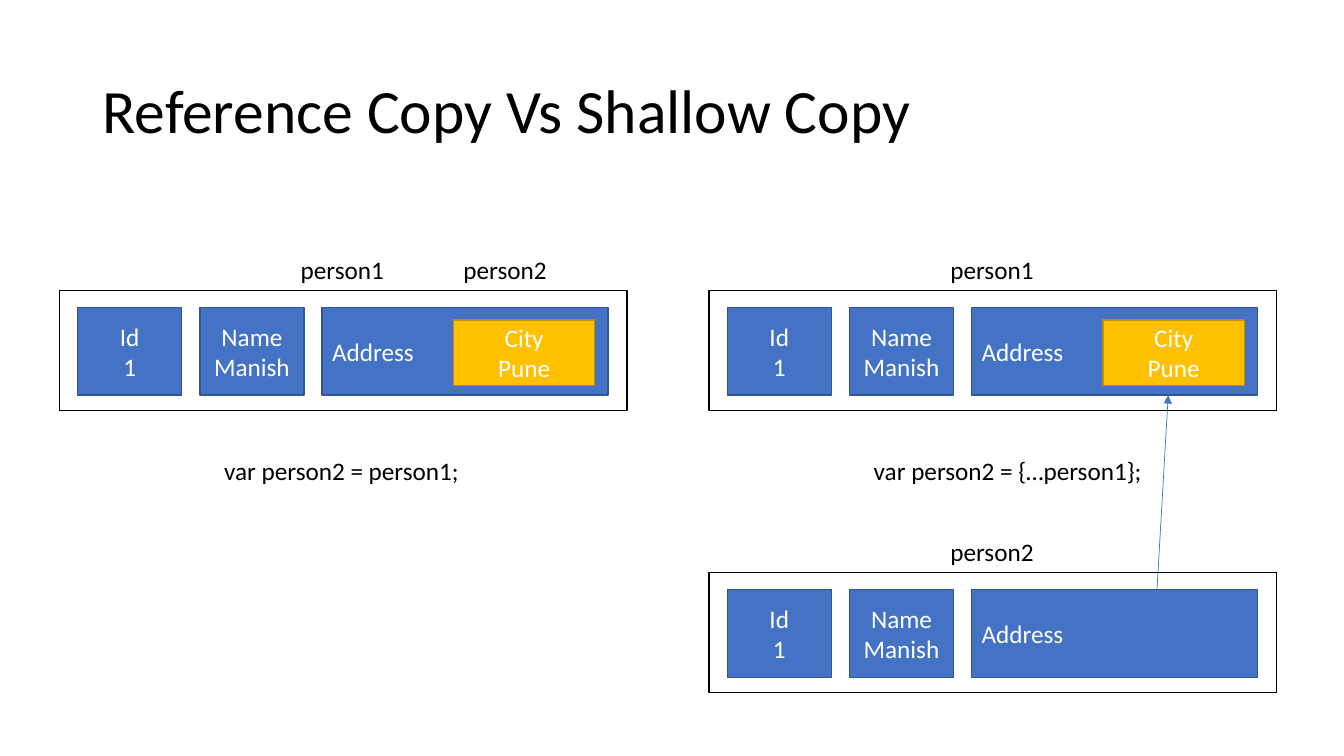
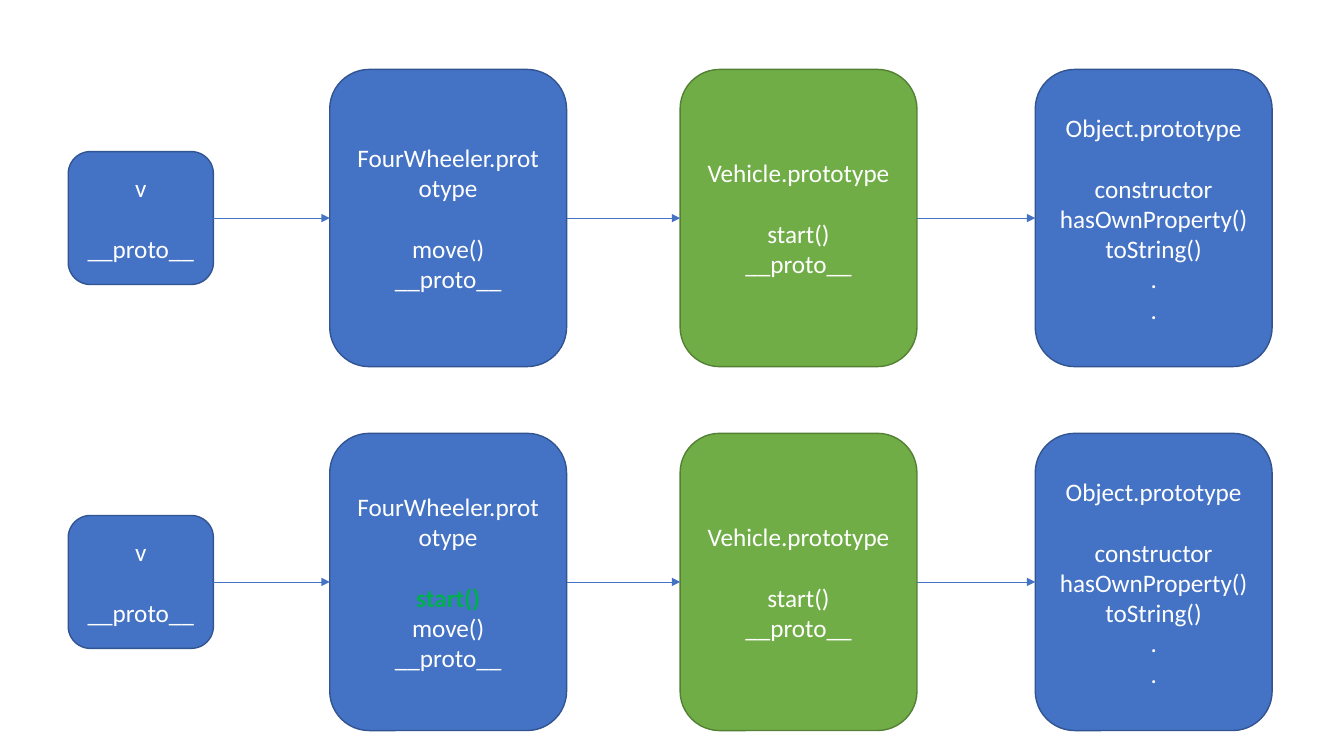
from dataclasses import dataclass

import pptx
import pptx.dml.color
import pptx.enum.shapes
import pptx.enum.text
import pptx.oxml
import pptx.oxml.ns
import pptx.util

Cm = pptx.util.Cm
Pt = pptx.util.Pt
MSO_SHAPE = pptx.enum.shapes.MSO_SHAPE
PP_ALIGN = pptx.enum.text.PP_ALIGN
TOP, LEFT, BOTTOM, RIGHT = range(4)


@dataclass(frozen=True)
class Theme:
    """Colours as hex, sizes in points; box colours are (fill, line) pairs."""
    font: str = "Calibri"
    title_size: int = 44
    body_size: int = 18
    line_gap: int = 22
    ink: str = "000000"
    light: str = "FFFFFF"
    highlight: str = "00B050"
    arrow: str = "4472C4"
    frame: tuple = ("FFFFFF", "000000")
    blue: tuple = ("4472C4", "325491")
    gold: tuple = ("FFC000", "BD8E00")
    green: tuple = ("70AD47", "538035")


THEME = Theme()

# Record: a frame holding the fields of one object (cm)
FRAME_W, FRAME_H = 14.3, 3.02
PAD_X, PAD_Y = 0.46, 0.43
FIELD_H = 2.21
FIELDS = [
    (2.62, ["Id", "1"], PP_ALIGN.CENTER),
    (2.62, ["Name", "Manish"], PP_ALIGN.CENTER),
    (7.2, ["Address"], PP_ALIGN.LEFT),
]
NAME_X, SECOND_NAME_X = 5.83, 9.93
CODE_X, CODE_Y = 3.9, 4.04

# Prototype chain (cm)
CARD_W, CARD_H = 5.97, 7.49
INSTANCE_W, INSTANCE_H = 3.66, 3.35
ROW_TOP, ROW_PITCH = 1.75, 9.17


def rgb(value):
    return pptx.dml.color.RGBColor.from_string(value)


def set_attrs(target, values):
    for name, value in values.items():
        setattr(target, name, value)


def write(tf, lines, color, size=THEME.body_size, para=None, bold_lines=()):
    """Write one paragraph per line; bold_lines are set in the highlight colour."""
    for i, line in enumerate(lines):
        p = tf.paragraphs[0] if i == 0 else tf.add_paragraph()
        set_attrs(p, para or {})
        r = p.add_run()
        r.text = line
        bold = line in bold_lines
        set_attrs(r.font, {"name": THEME.font, "size": Pt(size), "bold": bold})
        r.font.color.rgb = rgb(THEME.highlight if bold else color)


def add_title(s, text):
    title = s.shapes.title
    set_attrs(title, {"left": Cm(2.33), "top": Cm(1.01),
                      "width": Cm(29.21), "height": Cm(3.68)})
    title.text_frame.vertical_anchor = pptx.enum.text.MSO_ANCHOR.MIDDLE
    write(title.text_frame, [text], THEME.ink, THEME.title_size,
          {"alignment": PP_ALIGN.LEFT, "line_spacing": 0.9})


def add_box(s, x, y, w, h, colors, lines=(), align=PP_ALIGN.CENTER,
            shape=MSO_SHAPE.RECTANGLE, bold_lines=()):
    sp = s.shapes.add_shape(shape, Cm(x), Cm(y), Cm(w), Cm(h))
    fill, line = colors
    sp.shadow.inherit = False
    sp.fill.solid()
    sp.fill.fore_color.rgb = rgb(fill)
    sp.line.color.rgb = rgb(line)
    sp.line.width = Pt(1)
    write(sp.text_frame, lines, THEME.light, para={"alignment": align},
          bold_lines=bold_lines)
    return sp


def add_label(s, x, y, w, text):
    sp = s.shapes.add_textbox(Cm(x), Cm(y), Cm(w), Cm(1.02))
    set_attrs(sp.text_frame, {
        "word_wrap": False,
        "auto_size": pptx.enum.text.MSO_AUTO_SIZE.SHAPE_TO_FIT_TEXT})
    write(sp.text_frame, [text], THEME.ink)


def add_arrow(s, x1=0, y1=0, x2=0, y2=0):
    arrow = s.shapes.add_connector(pptx.enum.shapes.MSO_CONNECTOR.STRAIGHT,
                                   Cm(x1), Cm(y1), Cm(x2), Cm(y2))
    arrow.line.color.rgb = rgb(THEME.arrow)
    arrow.line.width = Pt(0.5)
    tail = pptx.oxml.parse_xml(
        f'<a:tailEnd {pptx.oxml.ns.nsdecls("a")} type="triangle"/>')
    arrow.line._get_or_add_ln().append(tail)
    arrow._element.spPr.append(pptx.oxml.parse_xml(
        f'<a:effectLst {pptx.oxml.ns.nsdecls("a")}/>'))
    return arrow


def join(s, source, target):
    arrow = add_arrow(s)
    arrow.begin_connect(source, RIGHT)
    arrow.end_connect(target, LEFT)


def add_record(s, x, y, names, with_city=True):
    """Draw one object in memory; names maps a variable to its offset."""
    add_box(s, x, y, FRAME_W, FRAME_H, THEME.frame)
    field_x = x + PAD_X
    for w, lines, align in FIELDS:
        add_box(s, field_x, y + PAD_Y, w, FIELD_H, THEME.blue, lines, align)
        field_x += w + PAD_X
    if with_city:
        add_box(s, x + 9.93, y + 0.74, 3.56, 1.65, THEME.gold, ["City", "Pune"])
    for name, offset in names.items():
        add_label(s, x + offset, y - 1.04, 2.64, name)


def add_card(s, x, middle, w, h, colors, heading, members, bold_lines=()):
    sp = add_box(s, x, middle - h / 2, w, h, colors, [heading, *members],
                 shape=MSO_SHAPE.ROUNDED_RECTANGLE, bold_lines=bold_lines)
    sp.text_frame.paragraphs[0].space_after = Pt(THEME.line_gap)
    return sp


def add_chain(s, top, wheeler_members, bold_lines=()):
    middle = top + CARD_H / 2
    cards = [add_card(s, 1.72, middle, INSTANCE_W, INSTANCE_H, THEME.blue,
                      "v", ["__proto__"])]
    prototypes = [
        (8.31, THEME.blue, "FourWheeler.prototype", wheeler_members),
        (17.14, THEME.green, "Vehicle.prototype", ["start()", "__proto__"]),
        (26.09, THEME.blue, "Object.prototype",
         ["constructor", "hasOwnProperty()", "toString()", ".", "."]),
    ]
    for x, colors, heading, members in prototypes:
        marked = bold_lines if members is wheeler_members else ()
        cards.append(add_card(s, x, middle, CARD_W, CARD_H, colors,
                              heading, members, marked))
    for source, target in zip(cards, cards[1:]):
        join(s, source, target)


def build_copy_slide(prs):
    s = prs.slides.add_slide(prs.slide_layouts[5])
    add_title(s, "Reference Copy Vs Shallow Copy")
    left, right, upper, lower = 1.5, 17.87, 7.32, 14.43
    add_record(s, left, upper, {"person1": NAME_X, "person2": SECOND_NAME_X})
    add_label(s, left + CODE_X, upper + CODE_Y, 6.5, "var person2 = person1;")
    add_record(s, right, upper, {"person1": NAME_X})
    add_label(s, right + CODE_X, upper + CODE_Y, 7.34, "var person2 = {…person1};")
    add_record(s, right, lower, {"person2": NAME_X}, with_city=False)
    add_arrow(s, 29.11, 15.67, 29.44, upper + PAD_Y + FIELD_H)


def build_prototype_slide(prs):
    s = prs.slides.add_slide(prs.slide_layouts[6])
    inherited = ["move()", "__proto__"]
    add_chain(s, ROW_TOP, inherited)
    add_chain(s, ROW_TOP + ROW_PITCH, ["start()", *inherited], ["start()"])


def main():
    prs = pptx.Presentation()
    set_attrs(prs, {"slide_width": Cm(33.87), "slide_height": Cm(19.05)})
    build_copy_slide(prs)
    build_prototype_slide(prs)
    prs.save("out.pptx")


if __name__ == "__main__":
    main()
